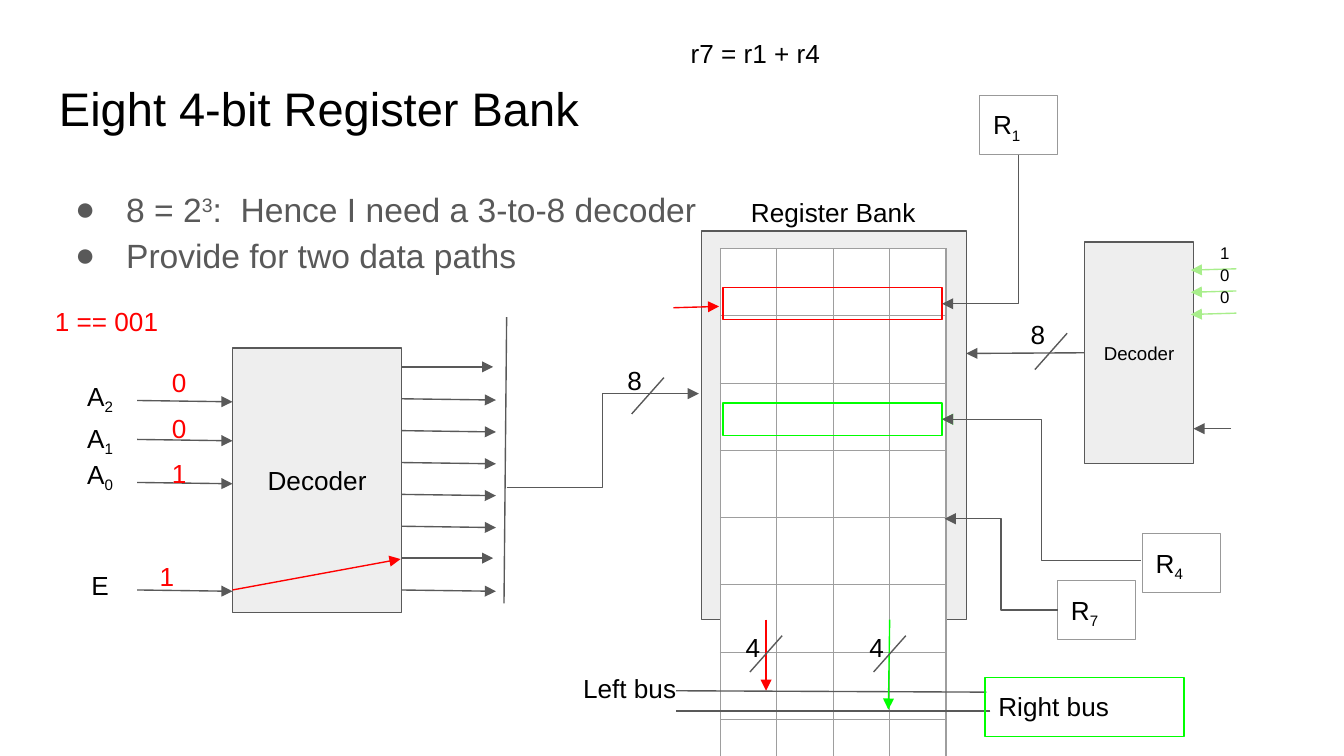
from lxml import etree
from pptx import Presentation
from pptx.dml.color import RGBColor
from pptx.enum import shapes, text
from pptx.oxml.ns import qn
from pptx.util import Inches, Pt

# ---- Content ----
C = dict(black="000000", gray="595959", panel="EEEEEE", grid="9E9E9E", box="999999",
         red="FF0000", green="00FF00", pale="A8EE8B", white="FFFFFF")
SUB, SUP = -25000, 30000

TITLE = "Eight 4-bit Register Bank"
BULLETS = [["8 = 2", ("3", SUP), ":  Hence I need a 3-to-8 decoder"],
           ["Provide for two data paths"]]
# label runs, label top, arrow y, bit value, bit left, bit top
INPUTS = [(["A", ("2", SUB)], 2.73, 2.98, "0", 1.18, 2.63),
          (["A", ("1", SUB)], 3.04, 3.27, "0", 1.18, 2.97),
          (["A", ("0", SUB)], 3.31, 3.59, "1", 1.18, 3.3),
          (["E"], 4.14, 4.39, "1", 1.09, 4.07)]
# bus width, label left, label top, slash top offset
WIDTHS = [("8", 4.57, 2.61, 0.2), ("8", 7.57, 2.27, 0.21),
          ("4", 5.45, 4.6, 0.13), ("4", 6.37, 4.6, 0.13)]
# text, left, top, width, colour, alignment
CAPTIONS = [("Register Bank", 5.29, 1.36, 1.82, "black", "c"),
            ("1 == 001", 0.31, 2.17, 1.44, "red", "l"),
            ("Left bus", 4.24, 4.9, 2.94, "black", "l"),
            ("r7 = r1 + r4", 5.04, 0.18, 4.85, "black", "l")]
REGISTERS = [("1", 7.29, 0.71), ("7", 7.87, 4.32), ("4", 8.5, 3.97)]
SELECT_BITS = "100"
ROWS, COLS = 8, 4

prs = Presentation()
prs.slide_width = Inches(10)
prs.slide_height = prs.slide_width * 9 // 16
sp_tree = prs.slides.add_slide(prs.slide_layouts[6]).shapes


# ---- Helpers ----
def rgb(name):
    return RGBColor.from_string(C[name])


def write(sp, paragraphs, size=14, color="black", align="l", anchor="t", bullet=False):
    tf = sp.text_frame
    tf.word_wrap = True
    tf.margin_left = tf.margin_right = tf.margin_top = tf.margin_bottom = Inches(0.1)
    tf.vertical_anchor = {"t": text.MSO_ANCHOR.TOP, "m": text.MSO_ANCHOR.MIDDLE}[anchor]
    for i, runs in enumerate(paragraphs):
        p = tf.add_paragraph() if i else tf.paragraphs[0]
        p.alignment = {"l": text.PP_ALIGN.LEFT, "c": text.PP_ALIGN.CENTER}[align]
        if bullet:
            p.line_spacing = 1.15
            pr = p._p.get_or_add_pPr()
            pr.set("marL", str(Inches(0.5)))
            pr.set("indent", str(Inches(-0.38)))
            clr = etree.SubElement(pr, qn("a:buClr"))
            etree.SubElement(clr, qn("a:srgbClr"), val=C[color])
            etree.SubElement(pr, qn("a:buFont"), typeface="Arial")
            etree.SubElement(pr, qn("a:buChar"), char="●")
        for run in runs:
            words, base = run if isinstance(run, tuple) else (run, 0)
            r = p.add_run()
            r.text = words
            r.font.name, r.font.size = "Arial", Pt(size)
            r.font.color.rgb = rgb(color)
            if base:
                r.font._element.set("baseline", str(base))


def label(paragraphs, x, y, w, h=0.44, **fmt):
    write(sp_tree.add_textbox(*map(Inches, (x, y, w, h))), paragraphs, **fmt)


def rect(x, y, w, h, line="gray", fill=None):
    sp = sp_tree.add_shape(shapes.MSO_SHAPE.RECTANGLE, *map(Inches, (x, y, w, h)))
    sp.shadow.inherit = False
    if fill:
        sp.fill.solid()
        sp.fill.fore_color.rgb = rgb(fill)
    else:
        sp.fill.background()
    sp.line.color.rgb, sp.line.width = rgb(line), Pt(0.75)
    return sp


def wire(x1, y1, x2, y2, color="gray", arrow=True, elbow=False):
    kind = shapes.MSO_CONNECTOR.ELBOW if elbow else shapes.MSO_CONNECTOR.STRAIGHT
    cn = sp_tree.add_connector(kind, *map(Inches, (x1, y1, x2, y2)))
    cn.line.color.rgb, cn.line.width = rgb(color), Pt(0.75)
    if arrow:
        etree.SubElement(cn.line._get_or_add_ln(), qn("a:tailEnd"), type="triangle")
    etree.SubElement(cn._element.spPr, qn("a:effectLst"))
    return cn


# ---- Title and bullets ----
label([[TITLE]], 0.34, 0.49, 9.32, 0.63, size=25.2)
label(BULLETS, 0.34, 1.26, 9.32, 3.74, size=18, color="gray", bullet=True)

# ---- Left decoder: inputs, outputs and selected path ----
for i in range(8):
    y = 2.73 + i * 1.66 / 7
    flat = i in (0, 6)
    wire(2.97, y, 3.67 if flat else 3.69, y if flat else y + 0.01)
for name, top, y, *_ in INPUTS:
    wire(1.02, y, 1.73, y + 0.01)
    label([name], 0.28, top, 0.93, align="c")
write(rect(1.73, 2.59, 1.26, 1.97, fill="panel"), [["Decoder"]], align="c", anchor="m")
for *_, bit, x, y in INPUTS:
    label([[bit]], x, y, 0.45, color="red")
wire(1.73, 4.39, 2.98, 4.16, "red")
wire(3.77, 2.36, 3.75, 4.49, arrow=False)
wire(3.77, 3.63, 5.2, 2.93, elbow=True)

# ---- Register bank ----
rect(5.22, 1.72, 1.97, 2.89, fill="panel")
table = sp_tree.add_table(ROWS, COLS, Inches(5.36), Inches(1.85),
                          Inches(0.42 * COLS), Inches(0.27 * ROWS)).table
table.first_row = table.horz_banding = False
for cell in table.iter_cells():
    cell.margin_left = cell.margin_right = cell.margin_top = cell.margin_bottom = Inches(0.1)
    tc_pr = cell._tc.get_or_add_tcPr()
    for side in ("lnL", "lnR", "lnT", "lnB"):
        ln = etree.SubElement(tc_pr, qn(f"a:{side}"), w=str(Pt(0.75)))
        solid = etree.SubElement(ln, qn("a:solidFill"))
        etree.SubElement(solid, qn("a:srgbClr"), val=C["grid"])
    cell.fill.solid()
    cell.fill.fore_color.rgb = rgb("white")

# ---- Selected registers and data paths ----
wire(5.01, 2.29, 5.35, 2.28, "red")
rect(5.38, 2.14, 1.63, 0.24, "red")
rect(5.38, 3, 1.63, 0.24, "green")
wire(7.41, 3.12, 7.01, 3.12, "green")
wire(5.7, 4.61, 5.7, 5.14, "red")
wire(7.34, 5.15, 5.03, 5.14, arrow=False)
wire(6.62, 4.61, 6.61, 5.28, "green")
wire(7.37, 5.29, 5.03, 5.29, arrow=False)

# ---- Right decoder ----
decoder = rect(8.07, 1.8, 0.81, 1.65, fill="panel")
write(decoder, [["Decoder"]], size=10, align="c", anchor="m")
wire(8.07, 2.63, 7.19, 2.63).begin_connect(decoder, 1)
for i, bit in enumerate(SELECT_BITS):
    wire(9.2, 2 + i * 0.165, 8.86, 2.01 + i * 0.165, "pale")
    label([[bit]], 8.98, 1.73 + i * 0.165, 0.35, 0.35, size=9)
wire(9.16, 3.19, 8.88, 3.19)

# ---- Bus widths and captions ----
for bits, x, y, drop in WIDTHS:
    label([[bits]], x, y, 0.42)
    wire(x + 0.37, y + drop, x + 0.13, y + drop + 0.27, arrow=False)
for words, x, y, w, color, align in CAPTIONS:
    label([[words]], x, y, w, color=color, align=align)
write(rect(7.33, 5.04, 1.48, 0.44, "green"), [["Right bus"]])

# ---- Register boxes and their wires ----
for number, x, y in REGISTERS:
    write(rect(x, y, 0.58, 0.44, "box"), [["R", (number, SUB)]])
wire(8.49, 4.17, 7.01, 3.12, elbow=True)
wire(7.87, 4.54, 7.03, 3.86, elbow=True)
# One bend only: down from R1, then left into the bank
r1_wire = wire(6.74, 1.42, 7.85, 1.99, elbow=True)
r1_wire._element.spPr.find(qn("a:prstGeom")).set("prst", "bentConnector2")
r1_wire._element.spPr.find(qn("a:xfrm")).set("rot", str(90 * 60000))

prs.save("out.pptx")
